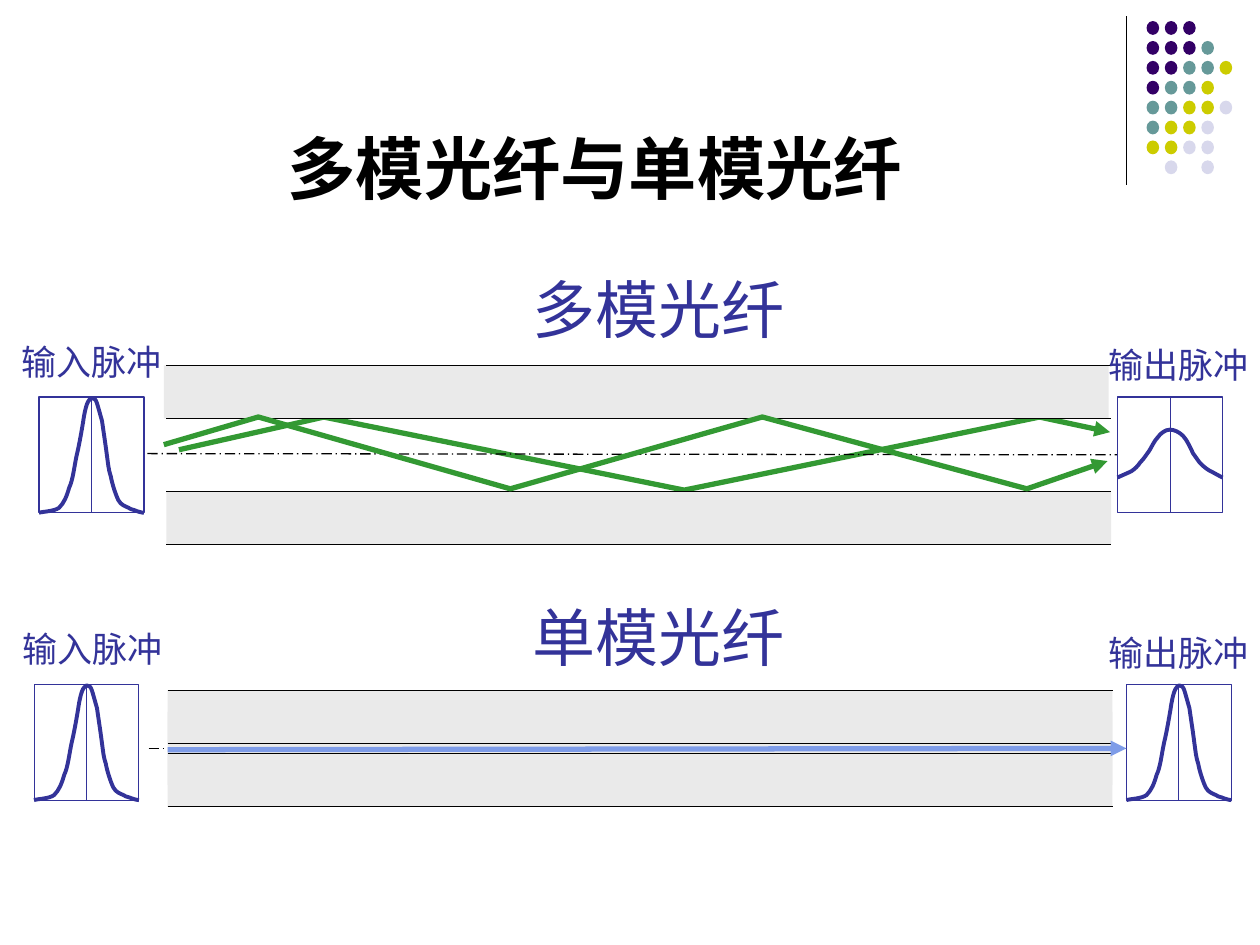
from dataclasses import dataclass
from typing import Optional

import lxml.etree
import pptx
import pptx.dml.color
import pptx.enum.dml
import pptx.enum.shapes
import pptx.enum.text
import pptx.oxml.ns
import pptx.util

RGB = pptx.dml.color.RGBColor
SHAPE = pptx.enum.shapes.MSO_SHAPE
BLACK = RGB(0x00, 0x00, 0x00)
WHITE = RGB(0xFF, 0xFF, 0xFF)
CLADDING_GRAY = RGB(0xEA, 0xEA, 0xEA)
NAVY = RGB(0x33, 0x33, 0x99)
RAY_GREEN = RGB(0x33, 0x99, 0x33)
BEAM_BLUE = RGB(0x7E, 0x9C, 0xE8)
DOT_COLORS = {
    "P": RGB(0x33, 0x00, 0x66),
    "T": RGB(0x66, 0x99, 0x99),
    "Y": RGB(0xCC, 0xCC, 0x00),
    "L": RGB(0xD8, 0xD8, 0xEC),
}
DOT_ROWS = ("PPP", "PPPT", "PPTTY", "PTTY", "TTYYL", "TYYL", "YYLL", " L L")

COLUMNS = 100
deck = pptx.Presentation()
deck.slide_width = pptx.util.Inches(10)
deck.slide_height = pptx.util.Inches(7.5)
CELL = deck.slide_width / COLUMNS
slide = deck.slides.add_slide(deck.slide_layouts[5])

Point = tuple[float, float]
BAND_WIDTH, BAND_HEIGHT = 75, 4.2
WINDOW_WIDTH, WINDOW_HEIGHT = 8.33, 9.2

NARROW_PULSE: list[Point] = [
    (0, 9.2), (0.3, 9.1), (1.2, 9.1), (1.6, 8.8), (2, 8.4), (2.2, 7.9), (2.4, 7.2),
    (2.7, 6.6), (2.8, 5.5), (3, 4.6), (3.2, 3.8), (3.4, 2.6), (3.5, 2),
    (3.6, 1.3), (3.7, 0.9), (3.8, 0.6), (3.9, 0.3), (4.1, 0.1), (4.2, 0.1),
    (4.4, 0.1), (4.5, 0.2), (4.6, 0.5), (4.7, 0.8), (4.8, 1.2), (5, 1.9),
    (5.1, 2.6), (5.3, 3.9), (5.4, 4.7), (5.5, 5.4), (5.5, 5.7), (5.7, 6.3),
    (5.8, 6.9), (6.1, 7.8), (6.3, 8.2), (6.5, 8.6), (6.9, 8.7), (7.1, 8.8),
    (7.4, 9), (7.4, 8.9), (7.6, 9), (7.8, 9.1), (8.2, 9.2), (8.33, 9.2),
]
BROAD_PULSE: list[Point] = [
    (0, 6.4), (0.2, 6.3), (0.7, 6.1), (1.1, 5.9), (1.4, 5.7), (1.6, 5.5), (1.8, 5.2),
    (2.1, 4.9), (2.2, 4.7), (2.5, 4.3), (2.7, 4), (2.9, 3.5), (3.2, 3.2),
    (3.4, 2.9), (3.8, 2.6), (4.15, 2.6), (4.5, 2.6), (4.9, 2.8), (5.2, 3.1),
    (5.5, 3.4), (5.8, 4.1), (6, 4.5), (6.2, 4.8), (6.3, 4.9), (6.5, 5.2),
    (6.7, 5.4), (6.9, 5.6), (7.2, 5.8), (7.6, 6), (8.1, 6.3), (8.33, 6.4),
]


@dataclass
class Pulse:
    left: float
    top: float
    curve: list[Point]
    border: float
    caption: str
    caption_left: float
    caption_top: float


@dataclass
class Fiber:
    name: str
    name_top: float
    edge: float
    band_lefts: Point
    band_tops: Point
    axis_start: Point
    axis_end: Point
    pulses: tuple[Pulse, Pulse]


def grid(cells: float) -> pptx.util.Emu:
    return pptx.util.Emu(round(cells * CELL))


def add_arrowhead(line: pptx.dml.line.LineFormat) -> None:
    ln = line._get_or_add_ln()
    lxml.etree.SubElement(ln, pptx.oxml.ns.qn("a:tailEnd"), type="triangle")


def draw_shape(kind: SHAPE, box: tuple[float, float, float, float], fill: RGB,
               border: Optional[float] = None) -> None:
    shape = slide.shapes.add_shape(kind, *map(grid, box))
    shape.shadow.inherit = False
    shape.fill.solid()
    shape.fill.fore_color.rgb = fill
    if border is None:
        shape.line.fill.background()
    else:
        shape.line.color.rgb = NAVY
        shape.line.width = pptx.util.Pt(border)


def draw_line(start: Point, end: Point, color: RGB = BLACK, width: float = 0.75,
              dashed: bool = False, arrow: bool = False) -> None:
    connector = slide.shapes.add_connector(
        pptx.enum.shapes.MSO_CONNECTOR.STRAIGHT, *map(grid, start + end))
    connector.line.color.rgb = color
    connector.line.width = pptx.util.Pt(width)
    if dashed:
        connector.line.dash_style = pptx.enum.dml.MSO_LINE.LONG_DASH_DOT
    if arrow:
        add_arrowhead(connector.line)
    lxml.etree.SubElement(connector._element.spPr, pptx.oxml.ns.qn("a:effectLst"))


def draw_outline(points: list[Point], color: RGB, width: float,
                 arrow: bool = False, curved: bool = False) -> None:
    corners = [(grid(x), grid(y)) for x, y in points]
    builder = slide.shapes.build_freeform(*corners[0])
    builder.add_line_segments(corners[1:], close=False)
    outline = builder.convert_to_shape()
    outline.shadow.inherit = False
    outline.fill.background()
    outline.line.color.rgb = color
    outline.line.width = pptx.util.Pt(width)
    if arrow:
        add_arrowhead(outline.line)
    if curved:
        bend_segments(outline._element)


def bend_segments(outline: lxml.etree.ElementBase) -> None:
    segments = list(outline.iter(pptx.oxml.ns.qn("a:lnTo")))
    for first in range(0, len(segments), 3):
        bend = lxml.etree.Element(pptx.oxml.ns.qn("a:cubicBezTo"))
        segments[first].addprevious(bend)
        for segment in segments[first:first + 3]:
            bend.append(segment[0])
            segment.getparent().remove(segment)


def draw_text(text: str, box: tuple[float, float, float, float], size: float, font: str) -> None:
    frame = slide.shapes.add_textbox(*map(grid, box)).text_frame
    frame.word_wrap = False
    label = frame.paragraphs[0]
    label.text = text
    label.font.size = pptx.util.Pt(size)
    label.font.name = font
    label.font.color.rgb = NAVY


def draw_pulse(pulse: Pulse) -> None:
    draw_shape(SHAPE.RECTANGLE, (pulse.left, pulse.top, WINDOW_WIDTH, WINDOW_HEIGHT),
               WHITE, pulse.border)
    middle = pulse.left + WINDOW_WIDTH / 2
    draw_line((middle, pulse.top), (middle, pulse.top + WINDOW_HEIGHT), NAVY, 0.5)
    draw_outline([(pulse.left + x, pulse.top + y) for x, y in pulse.curve],
                 NAVY, 2.25, curved=True)
    draw_text(pulse.caption, (pulse.caption_left, pulse.caption_top, 13.1, 4.4),
              20, "Noto Sans CJK SC")


def draw_fiber(fiber: Fiber) -> None:
    for left, top in zip(fiber.band_lefts, fiber.band_tops):
        draw_shape(SHAPE.RECTANGLE, (left, top, BAND_WIDTH, BAND_HEIGHT), CLADDING_GRAY)
    for top in fiber.band_tops:
        for y in (top, top + BAND_HEIGHT):
            draw_line((fiber.edge, y), (fiber.edge + BAND_WIDTH, y))
    draw_line(fiber.axis_start, fiber.axis_end, dashed=True)
    for pulse in fiber.pulses:
        draw_pulse(pulse)
    draw_text(fiber.name, (41.3, fiber.name_top, 22, 7), 36, "Roboto")


single_mode = Fiber(
    "单模光纤", 47, 13.3, (13.3, 13.3), (54.8, 59.8), (11.8, 59.4), (89.5, 59.4),
    (Pulse(2.7, 54.3, NARROW_PULSE, 0.5, "输入脉冲", 0.8, 49.3),
     Pulse(89.4, 54.3, NARROW_PULSE, 0.5, "输出脉冲", 87, 49.6)))
multi_mode = Fiber(
    "多模光纤", 21, 13.2, (13, 13.2), (29, 39), (11.7, 36), (89.4, 36.1),
    (Pulse(3.1, 31.5, NARROW_PULSE, 0.75, "输入脉冲", 0.7, 26.5),
     Pulse(88.7, 31.5, BROAD_PULSE, 0.75, "输出脉冲", 87, 26.8)))

draw_line((89.4, 1.3), (89.4, 14.7))
for row, dots in enumerate(DOT_ROWS):
    for column, dot in enumerate(dots):
        if dot in DOT_COLORS:
            draw_shape(SHAPE.OVAL, (91 + 1.45 * column, 1.67 + 1.58 * row, 1, 1.1),
                       DOT_COLORS[dot])

title = slide.shapes.title
title.left, title.top, title.width, title.height = map(grid, (5, 8.3, 84.4, 8.7))
title.text_frame.auto_size = pptx.enum.text.MSO_AUTO_SIZE.NONE
title.text_frame.vertical_anchor = pptx.enum.text.MSO_ANCHOR.BOTTOM
heading = title.text_frame.paragraphs[0]
heading.text = "多模光纤与单模光纤"
heading.alignment = pptx.enum.text.PP_ALIGN.CENTER
heading.font.size = pptx.util.Pt(39)
heading.font.name = "Arial"
heading.font.bold = True
heading.font.color.rgb = BLACK

draw_shape(SHAPE.RECTANGLE, (13.3, 56.5, BAND_WIDTH, 5.8), CLADDING_GRAY)
draw_fiber(single_mode)
draw_outline([(14.2, 35.7), (25.7, 33.1), (54.3, 38.9), (82.5, 33.1), (88.1, 34.3)],
             RAY_GREEN, 3, arrow=True)
draw_fiber(multi_mode)
draw_line((13.3, 59.5), (89.4, 59.4), BEAM_BLUE, 3, arrow=True)
draw_outline([(13, 35.3), (20.5, 33.1), (40.5, 38.8), (60.5, 33.1), (81.5, 38.8), (87.9, 36.6)],
             RAY_GREEN, 3, arrow=True)

deck.save("out.pptx")
